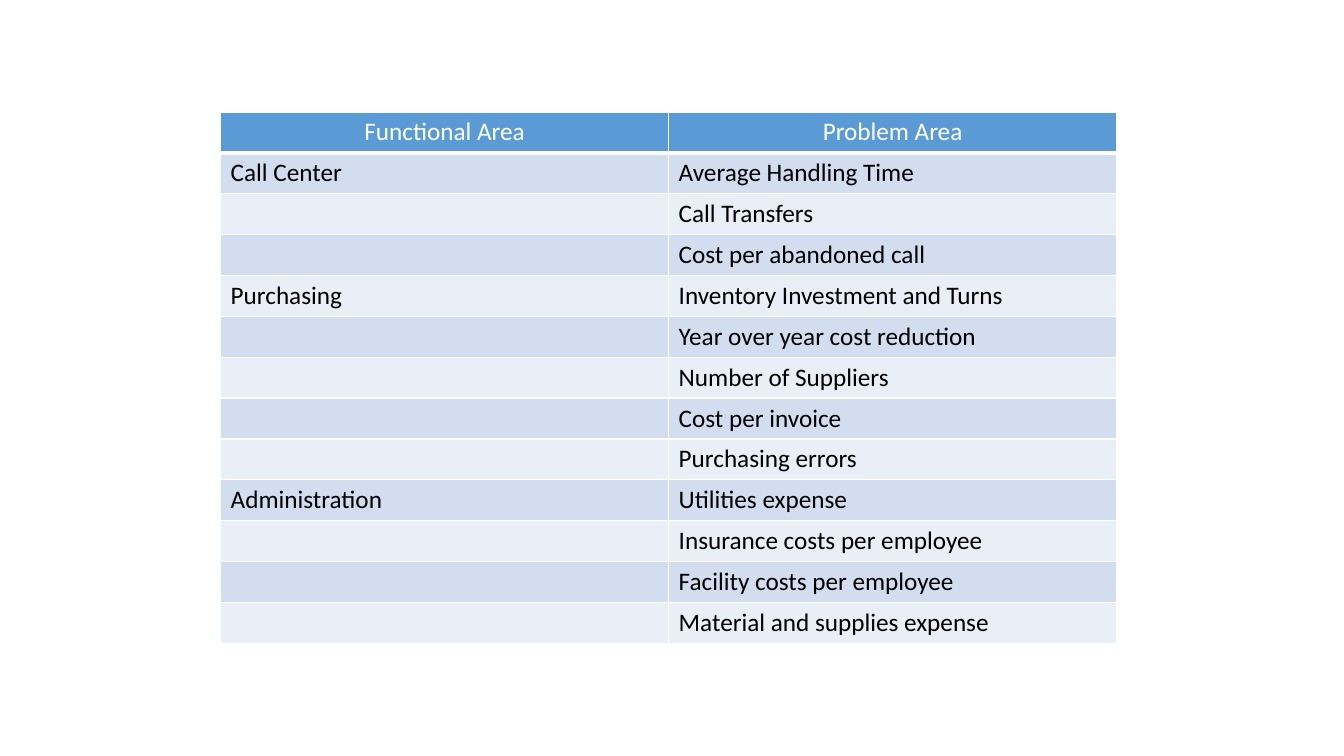
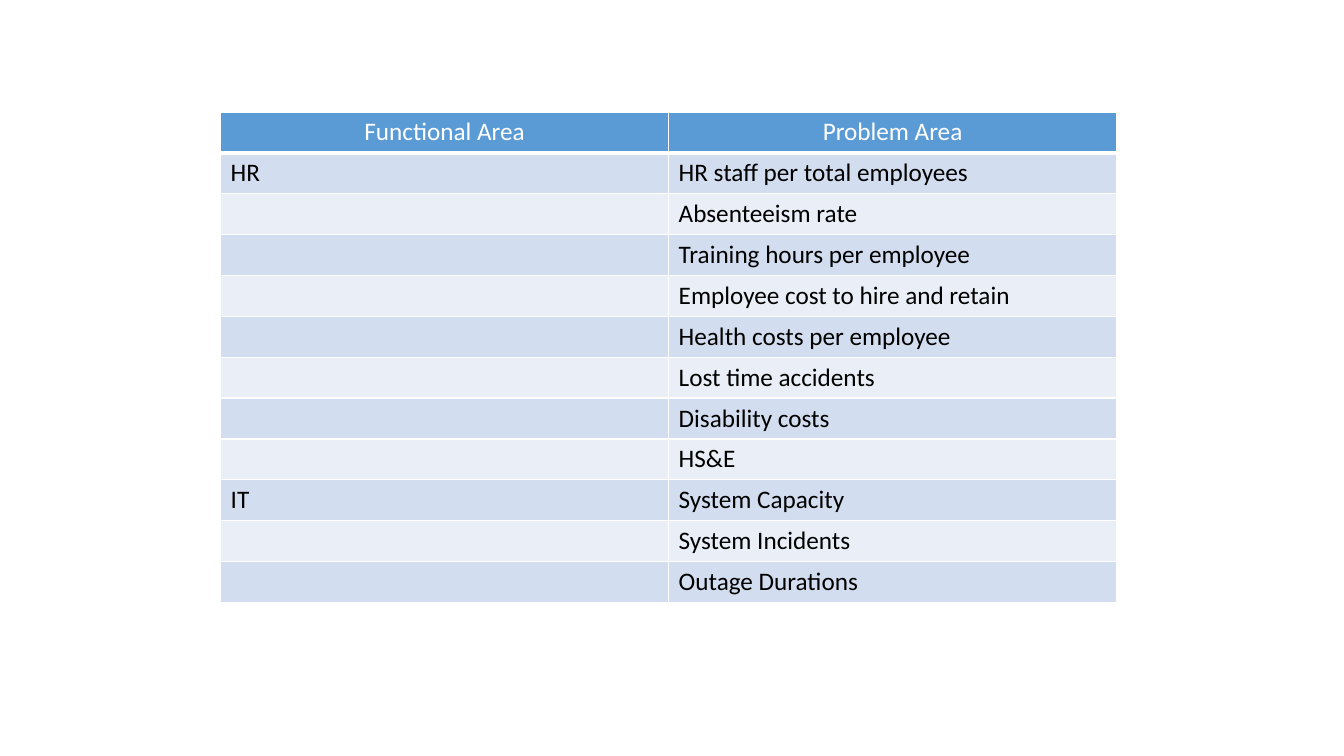
from dataclasses import dataclass

from lxml.etree import SubElement
from pptx import Presentation
from pptx.dml.color import RGBColor
from pptx.enum.text import MSO_ANCHOR, PP_ALIGN
from pptx.oxml.ns import qn
from pptx.util import Cm, Inches, Pt


@dataclass(frozen=True)
class Theme:
    font: str = "Calibri"
    text_size: int = 18
    header_fill: str = "5B9BD5"
    header_text: str = "FFFFFF"
    body_text: str = "000000"
    band_fills: tuple = ("D2DEEF", "EAEFF7")
    border: str = "FFFFFF"
    border_width: int = 1
    header_rule_width: int = 3


THEME = Theme()

# Table geometry
TABLE_LEFT, TABLE_TOP = Cm(5.56), Cm(2.82)
COLUMN_WIDTH, ROW_HEIGHT = Cm(11.29), Cm(1.03)

# Content: functional area and its problem areas, one dictionary per slide
HEADINGS = ("Functional Area", "Problem Area")
SLIDE_AREAS = (
    {
        "Call Center": (
            "Average Handling Time",
            "Call Transfers",
            "Cost per abandoned call",
        ),
        "Purchasing": (
            "Inventory Investment and Turns",
            "Year over year cost reduction",
            "Number of Suppliers",
            "Cost per invoice",
            "Purchasing errors",
        ),
        "Administration": (
            "Utilities expense",
            "Insurance costs per employee",
            "Facility costs per employee",
            "Material and supplies expense",
        ),
    },
    {
        "HR": (
            "HR staff per total employees",
            "Absenteeism rate",
            "Training hours per employee",
            "Employee cost to hire and retain",
            "Health costs per employee",
            "Lost time accidents",
            "Disability costs",
            "HS&E",
        ),
        "IT": (
            "System Capacity",
            "System Incidents",
            "Outage Durations",
        ),
    },
)


def area_rows(areas):
    """List the table rows, naming each area only on its first row."""
    rows = [HEADINGS]
    for area, problems in areas.items():
        for index, problem in enumerate(problems):
            rows.append(("" if index else area, problem))
    return rows


def set_borders(cell, bottom_width):
    """Draw the four cell borders; they must precede the cell's fill."""
    properties = cell._tc.get_or_add_tcPr()
    for side in ("L", "R", "T", "B"):
        width = bottom_width if side == "B" else THEME.border_width
        line = SubElement(properties, qn(f"a:ln{side}"), w=str(Pt(width)))
        fill = SubElement(line, qn("a:solidFill"))
        SubElement(fill, qn("a:srgbClr"), val=THEME.border)


def format_cell(cell, text, fill, color, alignment, bottom_width):
    set_borders(cell, bottom_width)
    cell.fill.solid()
    cell.fill.fore_color.rgb = RGBColor.from_string(fill)
    cell.vertical_anchor = MSO_ANCHOR.TOP
    cell.text = text
    paragraph = cell.text_frame.paragraphs[0]
    paragraph.alignment = alignment
    paragraph.font.name = THEME.font
    paragraph.font.size = Pt(THEME.text_size)
    paragraph.font.bold = False
    paragraph.font.color.rgb = RGBColor.from_string(color)


def add_area_table(slide, areas):
    rows = area_rows(areas)
    table = slide.shapes.add_table(
        len(rows), len(HEADINGS), TABLE_LEFT, TABLE_TOP,
        COLUMN_WIDTH * len(HEADINGS), ROW_HEIGHT * len(rows),
    ).table
    for row_index, texts in enumerate(rows):
        table.rows[row_index].height = ROW_HEIGHT
        if row_index == 0:
            style = (THEME.header_fill, THEME.header_text,
                     PP_ALIGN.CENTER, THEME.header_rule_width)
        else:
            band = THEME.band_fills[(row_index - 1) % len(THEME.band_fills)]
            style = (band, THEME.body_text, PP_ALIGN.LEFT, THEME.border_width)
        for column_index, text in enumerate(texts):
            format_cell(table.cell(row_index, column_index), text, *style)


def main():
    presentation = Presentation()
    presentation.slide_width = Inches(40 / 3)
    presentation.slide_height = Cm(19.05)
    blank_layout = presentation.slide_layouts[6]
    for areas in SLIDE_AREAS:
        add_area_table(presentation.slides.add_slide(blank_layout), areas)
    presentation.save("out.pptx")


if __name__ == "__main__":
    main()
